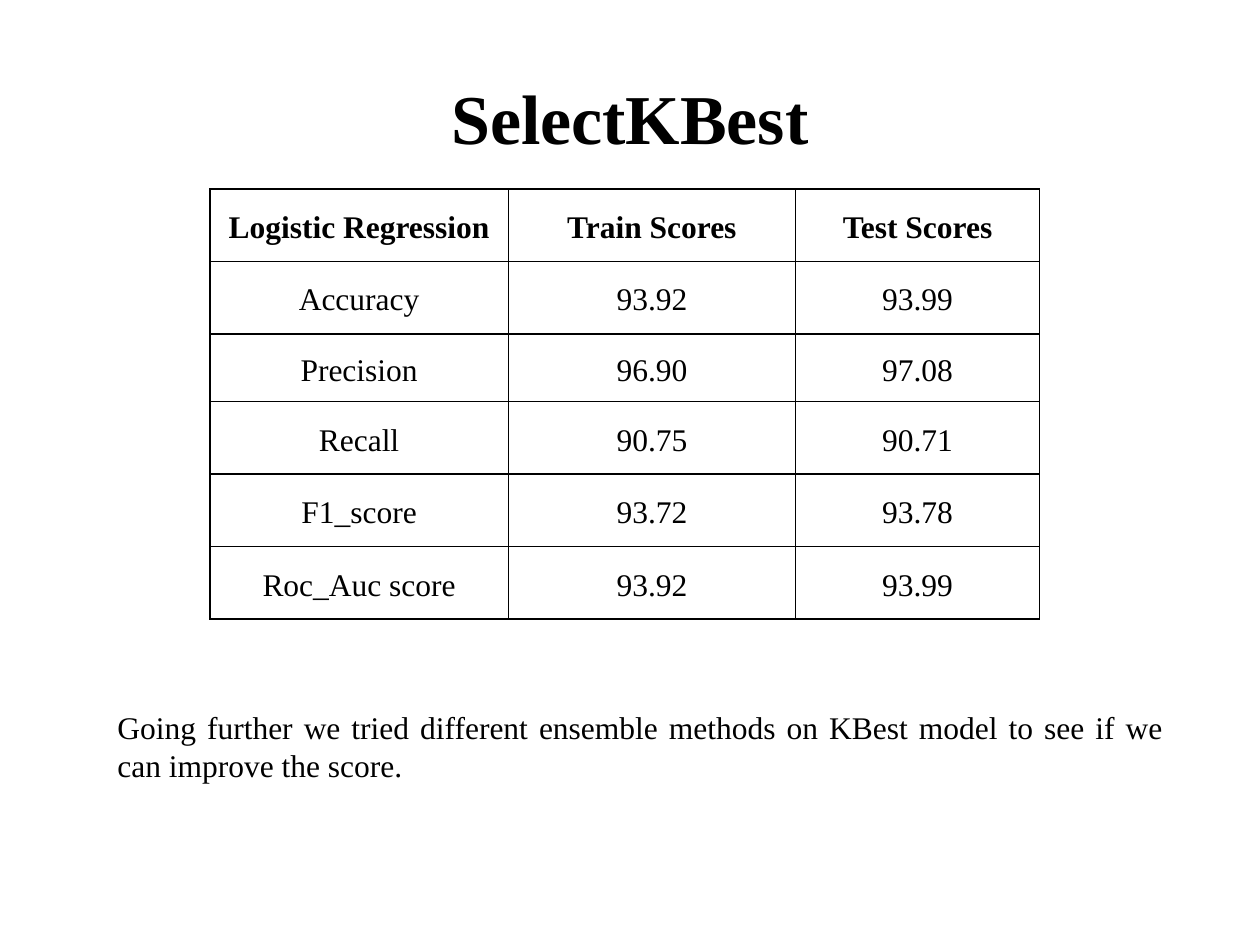
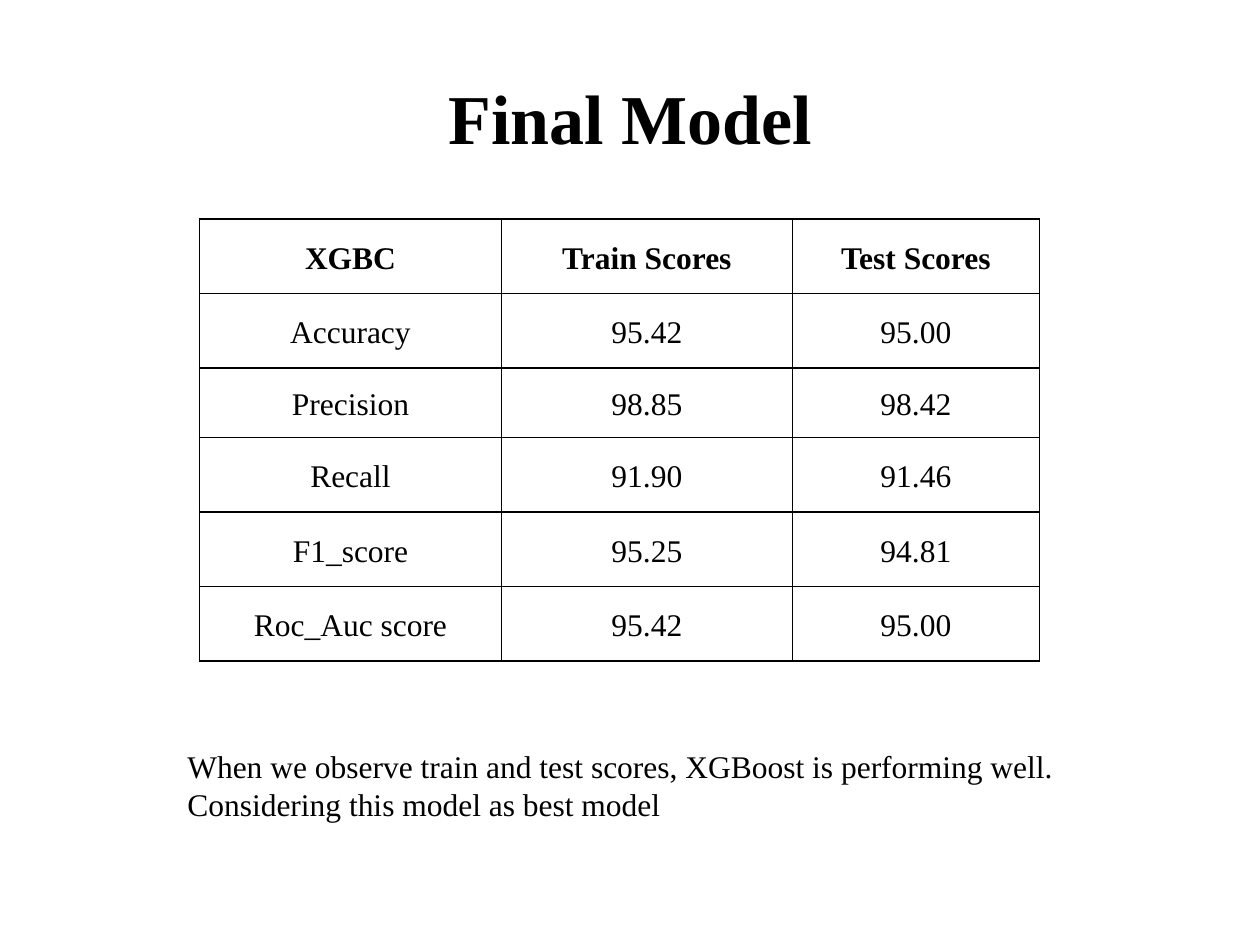
"""Build two slides that compare train and test scores of two classifiers."""
import pptx
import pptx.dml.color
import pptx.enum.text
import pptx.oxml
import pptx.oxml.ns
import pptx.util

Pt = pptx.util.Pt
ALIGN = pptx.enum.text.PP_ALIGN
MIDDLE = pptx.enum.text.MSO_ANCHOR.MIDDLE
GROW = pptx.enum.text.MSO_AUTO_SIZE.SHAPE_TO_FIT_TEXT

COLORS = {"text": "000000", "border": "000000", "background": "FFFFFF"}
FONT = "Times New Roman"
TITLE_FONT = {"name": FONT, "size": Pt(40), "bold": True}
HEADER_FONT = {"name": FONT, "size": Pt(18), "bold": True}
BODY_FONT = {"name": FONT, "size": Pt(18), "bold": False}
TITLE_FRAME = {"word_wrap": True, "vertical_anchor": MIDDLE}
CELL_FORMAT = {"vertical_anchor": MIDDLE, "margin_left": Pt(5), "margin_right": Pt(5),
               "margin_top": 0, "margin_bottom": 0}
METRICS = ["Accuracy", "Precision", "Recall", "F1_score", "Roc_Auc score"]

SLIDES = [
    {"title": "SelectKBest",
     "model": "Logistic Regression",
     "train": ["93.92", "96.90", "90.75", "93.72", "93.92"],
     "test": ["93.99", "97.08", "90.71", "93.78", "93.99"],
     "table_at": (120, 108),
     "columns": [170.5, 164.2, 139.4],
     "row": 41.4, "precision_row": 38.8,
     "note": ["Going further we tried different ensemble methods on KBest model "
              "to see if we can improve the score."],
     "note_box": (60, 401, 612, 72.7),
     "note_frame": {"word_wrap": True, "auto_size": GROW},
     "note_align": ALIGN.JUSTIFY},
    {"title": "Final Model",
     "model": "XGBC",
     "train": ["95.42", "98.85", "91.90", "95.25", "95.42"],
     "test": ["95.00", "98.42", "91.46", "94.81", "95.00"],
     "table_at": (114, 125),
     "columns": [172.6, 166.2, 141.2],
     "row": 42.6, "precision_row": 39.8,
     "note": ["When we observe train and test scores, XGBoost is performing well.",
              "Considering this model as best model"],
     "note_box": (100, 423.4, 518.4, 51),
     "note_frame": {"word_wrap": False, "auto_size": GROW},
     "note_align": ALIGN.LEFT},
]


def apply_format(target, values):
    for attribute, value in values.items():
        setattr(target, attribute, value)


def write(frame, lines, font, align, spacing=None):
    for index, line in enumerate(lines):
        paragraph = frame.add_paragraph() if index else frame.paragraphs[0]
        paragraph.text = line
        apply_format(paragraph, {"alignment": align, "line_spacing": spacing})
        apply_format(paragraph.runs[0].font, font)
        paragraph.runs[0].font.color.rgb = pptx.dml.color.RGBColor.from_string(COLORS["text"])


deck = pptx.Presentation()
deck.slide_width, deck.slide_height = Pt(720), Pt(540)

for content in SLIDES:
    slide = deck.slides.add_slide(deck.slide_layouts[6])
    slide.background.fill.solid()
    slide.background.fill.fore_color.rgb = pptx.dml.color.RGBColor.from_string(
        COLORS["background"])

    title = slide.shapes.add_textbox(Pt(36), Pt(21.6), Pt(648), Pt(90)).text_frame
    apply_format(title, TITLE_FRAME)
    write(title, [content["title"]], TITLE_FONT, ALIGN.CENTER)

    rows = [(content["model"], "Train Scores", "Test Scores"),
            *zip(METRICS, content["train"], content["test"])]
    heights = [content["precision_row" if row[0] == "Precision" else "row"] for row in rows]
    left, top = content["table_at"]
    scores = slide.shapes.add_table(
        len(rows), len(content["columns"]), Pt(left), Pt(top),
        Pt(sum(content["columns"])), Pt(sum(heights))).table
    for column, width in zip(scores.columns, content["columns"]):
        column.width = Pt(width)

    for row_index, (row, height) in enumerate(zip(rows, heights)):
        scores.rows[row_index].height = Pt(height)
        for column_index, value in enumerate(row):
            cell = scores.cell(row_index, column_index)
            apply_format(cell, CELL_FORMAT)
            write(cell.text_frame, [value], BODY_FONT if row_index else HEADER_FONT,
                  ALIGN.CENTER, 1.15)
            for side in ("lnL", "lnR", "lnT", "lnB"):
                cell._tc.get_or_add_tcPr().append(pptx.oxml.parse_xml(
                    f'<a:{side} {pptx.oxml.ns.nsdecls("a")} w="{Pt(1)}"><a:solidFill>'
                    f'<a:srgbClr val="{COLORS["border"]}"/></a:solidFill></a:{side}>'))
            cell.fill.background()

    note = slide.shapes.add_textbox(*map(Pt, content["note_box"])).text_frame
    apply_format(note, content["note_frame"])
    write(note, content["note"], BODY_FONT, content["note_align"])

deck.save("out.pptx")
